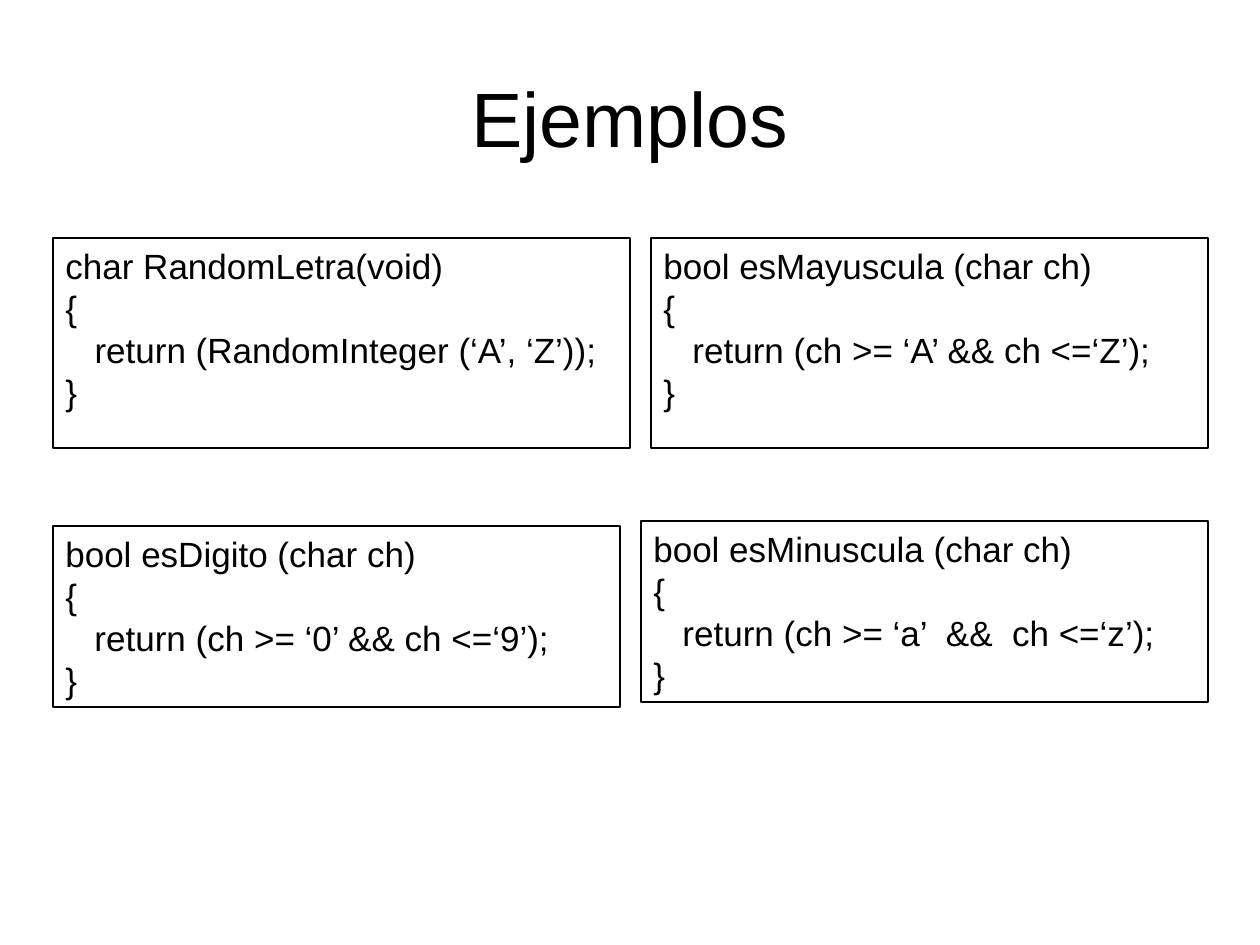
import pptx
import pptx.dml.color
import pptx.enum.text
import pptx.util

PX = 914400 // 126
COLORS = {"ink": "000000", "paper": "FFFFFF"}
INK = pptx.dml.color.RGBColor.from_string(COLORS["ink"])

deck = pptx.Presentation()
deck.slide_width = pptx.util.Inches(10)
deck.slide_height = pptx.util.Inches(7.5)
page = deck.slides.add_slide(deck.slide_layouts[6])
page.background.fill.solid()
page.background.fill.fore_color.rgb = pptx.dml.color.RGBColor.from_string(COLORS["paper"])


def add_text(left, top, width, height, lines, size):
    box = page.shapes.add_textbox(left * PX, top * PX, width * PX, height * PX)
    box.text_frame.word_wrap = True
    box.text_frame.text = "\n".join(lines)
    for para in box.text_frame.paragraphs:
        for span in para.runs:
            span.font.name = "Arial"
            span.font.size = pptx.util.Pt(size)
            span.font.color.rgb = INK
    return box


title = add_text(63, 38, 1134, 158, ["Ejemplos"], 44)
title.text_frame.vertical_anchor = pptx.enum.text.MSO_ANCHOR.MIDDLE
title.text_frame.paragraphs[0].alignment = pptx.enum.text.PP_ALIGN.CENTER

# left, top, width, height, signature, returned expression
functions = [
    (53, 238, 577, 210, "char RandomLetra(void)", "(RandomInteger (‘A’, ‘Z’))"),
    (651, 238, 557, 210, "bool esMayuscula (char ch)", "(ch >= ‘A’ && ch <=‘Z’)"),
    (53, 526, 567, 181, "bool esDigito (char ch)", "(ch >= ‘0’ && ch <=‘9’)"),
    (641, 521, 567, 181, "bool esMinuscula (char ch)", "(ch >= ‘a’  &&  ch <=‘z’)"),
]
for left, top, width, height, signature, expression in functions:
    code = [signature, "{", f"   return {expression};", "}"]
    box = add_text(left, top, width, height, code, 20)
    box.line.color.rgb = INK
    box.line.width = pptx.util.Pt(0.75)
    for para in box.text_frame.paragraphs:
        para.line_spacing = pptx.util.Pt(24)

deck.save("out.pptx")
